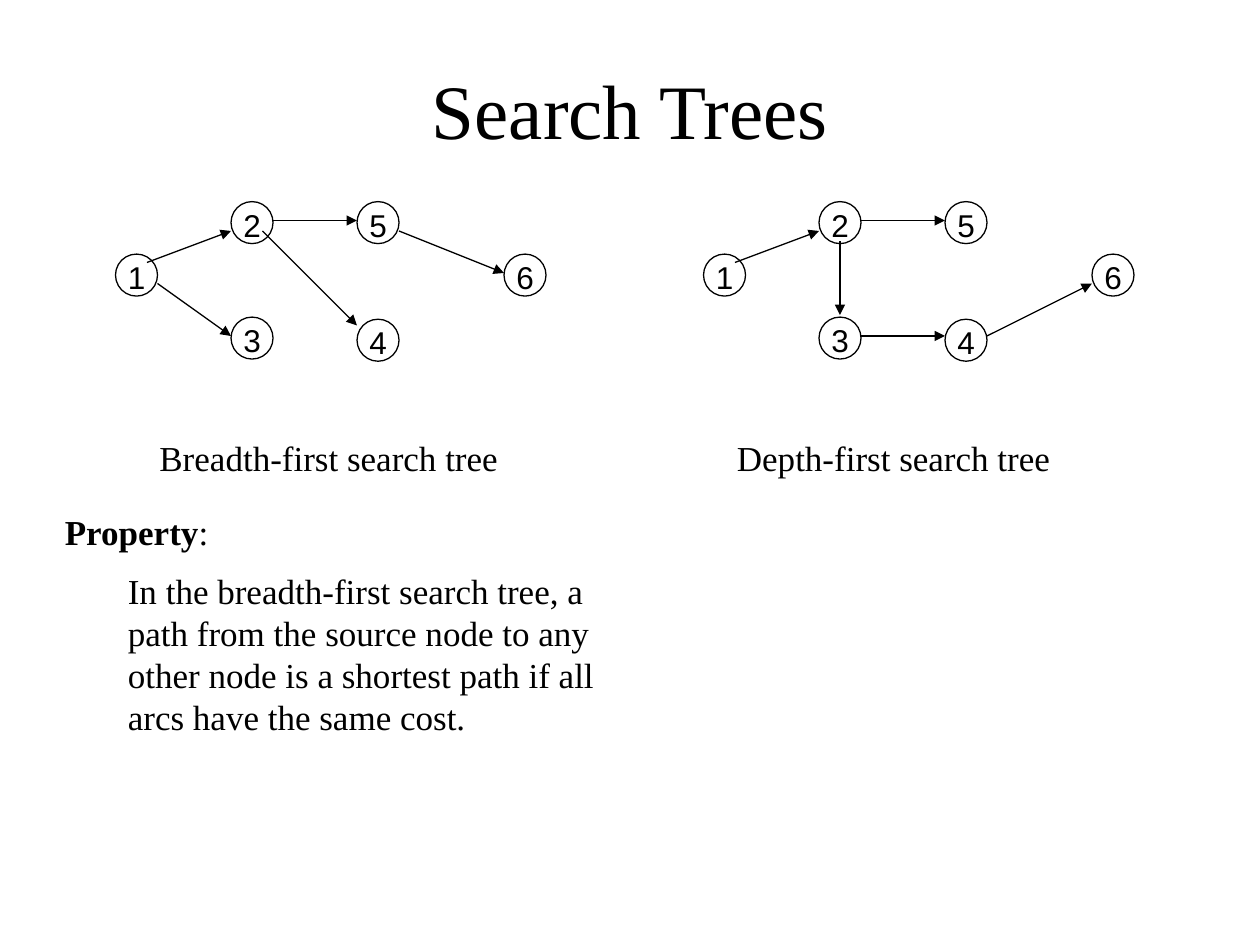
from dataclasses import dataclass

from lxml import etree
from pptx import Presentation
from pptx import util as u
from pptx.dml.color import RGBColor
from pptx.enum import shapes, text
from pptx.oxml import ns


@dataclass(frozen=True)
class Theme:
    ink: RGBColor = RGBColor(0, 0, 0)
    serif: str = "Times New Roman"
    sans: str = "Arial"
    title_size: float = 44
    body_size: float = 20
    label_size: float = 18
    line_width: float = 0.75
    node_size: float = 24


class SlideBuilder:
    def __init__(self, deck, theme):
        self.theme = theme
        self.page = deck.slides.add_slide(deck.slide_layouts[5])

    def place(self, shape, left, top, width, height):
        shape.left, shape.top = u.Pt(left), u.Pt(top)
        shape.width, shape.height = u.Pt(width), u.Pt(height)

    def span(self, para, words, size, font, bold=False):
        span = para.add_run()
        span.text = words
        span.font.name = font
        span.font.size = u.Pt(size)
        span.font.bold = bold
        span.font.color.rgb = self.theme.ink

    def title(self, words, left, top, width, height):
        box = self.page.shapes.title
        self.place(box, left, top, width, height)
        box.text_frame.vertical_anchor = text.MSO_ANCHOR.MIDDLE
        para = box.text_frame.paragraphs[0]
        para.alignment = text.PP_ALIGN.CENTER
        self.span(para, words, self.theme.title_size, self.theme.serif)

    def text(self, paragraphs, left, top, width, height, size, font):
        box = self.page.shapes.add_textbox(*map(u.Pt, (left, top, width, height)))
        frame = box.text_frame
        frame.word_wrap = True
        for index, (indent, spans) in enumerate(paragraphs):
            para = frame.add_paragraph() if index else frame.paragraphs[0]
            para.space_before = u.Pt(size / 2)
            if indent:
                para.level = 1
                properties = para._p.get_or_add_pPr()
                properties.set("marL", str(u.Pt(indent)))
                properties.set("indent", "0")
            for words, bold in spans:
                self.span(para, words, size, font, bold)

    def body(self, paragraphs, left, top, width, height):
        self.text(paragraphs, left, top, width, height,
                  self.theme.body_size, self.theme.serif)

    def node(self, label, left, top):
        size = self.theme.node_size
        circle = self.page.shapes.add_shape(
            shapes.MSO_SHAPE.OVAL, *map(u.Pt, (left, top, size, size)))
        circle.shadow.inherit = False
        circle.fill.background()
        circle.line.color.rgb = self.theme.ink
        circle.line.width = u.Pt(self.theme.line_width)
        self.text([(0, [(label, False)])], left, top - 1.2, size, 28.8,
                  self.theme.label_size, self.theme.sans)

    def arrow(self, start_x, start_y, end_x, end_y):
        line = self.page.shapes.add_connector(
            shapes.MSO_CONNECTOR.STRAIGHT,
            *map(u.Pt, (start_x, start_y, end_x, end_y)))
        line.line.color.rgb = self.theme.ink
        line.line.width = u.Pt(self.theme.line_width)
        outline = line.line._get_or_add_ln()
        etree.SubElement(outline, ns.qn("a:tailEnd"), type="triangle")
        etree.SubElement(line._element.spPr, ns.qn("a:effectLst"))

    def tree(self, left, nodes, arrows):
        for label, (x, y) in nodes.items():
            self.node(label, left + x, y)
        for start_x, start_y, end_x, end_y in arrows:
            self.arrow(left + start_x, start_y, left + end_x, end_y)


NODES = {
    "1": (0, 145.2),
    "2": (66, 115.2),
    "3": (66, 181.2),
    "4": (138, 182.4),
    "5": (138, 115.2),
    "6": (222, 145.2),
}
SHARED_ARROWS = [(18, 150, 66, 132), (90, 126, 138, 126)]
BREADTH_ARROWS = [(24, 162, 66, 192), (84, 132, 138, 186), (162, 132, 222, 156)]
DEPTH_ARROWS = [(78, 138, 78, 180), (90, 192, 138, 192), (162, 192, 222, 162)]


def main():
    deck = Presentation()
    deck.slide_width, deck.slide_height = u.Pt(720), u.Pt(540)
    slide = SlideBuilder(deck, Theme())
    slide.title("Search Trees", 36, 21.6, 648, 80.64)
    slide.tree(66, NODES, SHARED_ARROWS + BREADTH_ARROWS)
    slide.tree(402, NODES, SHARED_ARROWS + DEPTH_ARROWS)
    slide.body([(0, [("Breadth-first search tree", False)])], 84, 246, 234, 31)
    slide.body([(0, [("Depth-first search tree", False)])], 414, 246, 240, 31)
    slide.body([
        (0, [("Property", True), (":", False)]),
        (36, [("In the breadth-first search tree, a path from the source node "
               "to any other node is a shortest path if all arcs have the "
               "same cost.", False)]),
    ], 30, 288, 330, 139)
    deck.save("out.pptx")


if __name__ == "__main__":
    main()
